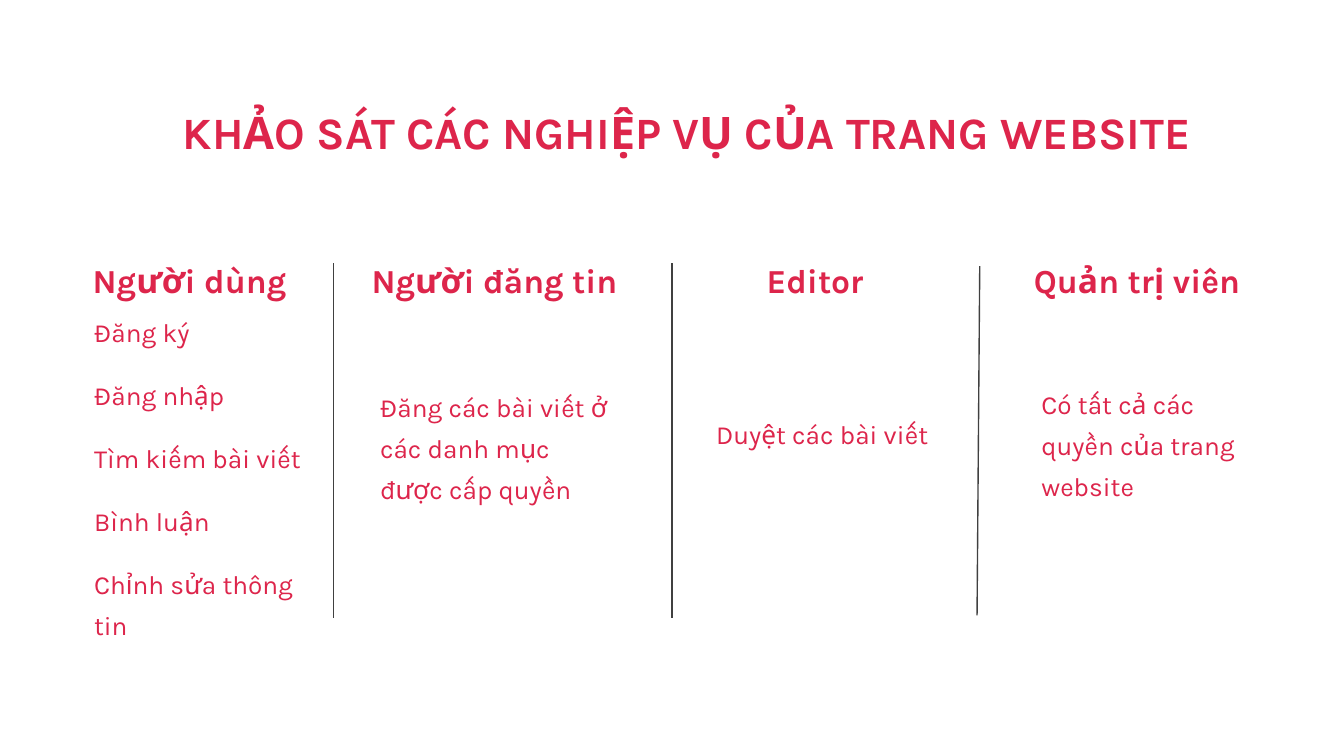
from dataclasses import dataclass

from lxml import etree
from pptx import Presentation
from pptx.dml.color import RGBColor
from pptx.enum.shapes import MSO_CONNECTOR
from pptx.enum.text import MSO_ANCHOR, MSO_AUTO_SIZE, PP_ALIGN
from pptx.oxml.ns import qn
from pptx.util import Inches, Pt

LINE = MSO_CONNECTOR.STRAIGHT
TOP, MIDDLE = MSO_ANCHOR.TOP, MSO_ANCHOR.MIDDLE
LEFT, CENTER = PP_ALIGN.LEFT, PP_ALIGN.CENTER
FIXED = MSO_AUTO_SIZE.NONE


@dataclass
class Theme:
    font: str = "Karla"
    red: RGBColor = RGBColor(0xDD, 0x25, 0x4B)
    gray: RGBColor = RGBColor(0x40, 0x40, 0x40)
    title: int = 24
    head: int = 18
    body: int = 14
    rule: float = 0.75


theme = Theme()
deck = Presentation()
deck.slide_width = Inches(10)
deck.slide_height = Inches(10 * 9 / 16)
COL, ROW = deck.slide_width / 100, deck.slide_height / 100


def grid(x, y):
    """Turn percentages of the slide's width and height into lengths."""
    return round(x * COL), round(y * ROW)


def write(shape, box, lines, size, bold=False, align=LEFT, anchor=MIDDLE, loose=True):
    """Place a text shape on the grid and fill it, one paragraph per line."""
    x, y, wide, high = box
    shape.left, shape.top = grid(x, y)
    shape.width, shape.height = grid(wide, high)
    frame = shape.text_frame
    frame.text = "\n".join(lines)
    frame.word_wrap = True
    frame.auto_size = FIXED
    frame.vertical_anchor = anchor
    frame.margin_left = frame.margin_right = Inches(0.1)
    frame.margin_top = frame.margin_bottom = Inches(0.1)
    for para in frame.paragraphs:
        para.alignment = align
        para.font.name = theme.font
        para.font.size = Pt(size)
        para.font.bold = bold
        para.font.color.rgb = theme.red
        if loose:
            para.line_spacing = 1.3
            para.space_before = para.space_after = Pt(6)


slide = deck.slides.add_slide(deck.slide_layouts[1])
shapes = slide.shapes
tasks = slide.placeholders[1]

write(shapes.title, (7.7, 9.92, 86.8, 15.47),
      ["KHẢO SÁT CÁC NGHIỆP VỤ CỦA TRANG WEBSITE"],
      theme.title, bold=True, align=CENTER, anchor=TOP)

# Each role: heading, its left and width, body box, body lines
roles = [
    ("Người dùng", 4.7, 18.8, (6, 44.98, 19.6, 35.38),
     ["Đăng ký", "Đăng nhập", "Tìm kiếm bài viết", "Bình luận",
      "Chỉnh sửa thông tin"]),
    ("Người đăng tin", 26.1, 21.4, (27.3, 45.35, 19.6, 26.67),
     ["Đăng các bài viết ở các danh mục được cấp quyền"]),
    ("Editor", 53, 15.3, (52.3, 42.35, 18, 28.98),
     ["Duyệt các bài viết"]),
    ("Quản trị viên", 74, 21.2, (76.5, 46, 18, 24.53),
     ["Có tất cả các quyền của trang website"]),
]
for index, (name, x, wide, box, lines) in enumerate(roles):
    head = shapes.add_textbox(0, 0, 0, 0)
    write(head, (x, 34.15, wide, 5.7), [name], theme.head,
          bold=True, align=CENTER, loose=False)
    body = tasks if index == 0 else shapes.add_textbox(0, 0, 0, 0)
    write(body, box, lines, theme.body)

for para in tasks.text_frame.paragraphs:
    props = para._p.get_or_add_pPr()
    props.set("marL", "0")
    props.set("indent", "0")
    mark = etree.SubElement(props, qn("a:buNone"))
    props.find(qn("a:defRPr")).addprevious(mark)

rules = [
    (24.8, 34.84, 24.8, 81.8),
    (50, 34.84, 50, 81.8),
    (72.9, 35.2, 72.7, 81.42),
]
for x1, y1, x2, y2 in rules:
    rule = shapes.add_connector(LINE, *grid(x1, y1), *grid(x2, y2))
    rule.line.color.rgb = theme.gray
    rule.line.width = Pt(theme.rule)
    etree.SubElement(rule._element.spPr, qn("a:effectLst"))

deck.save("out.pptx")
